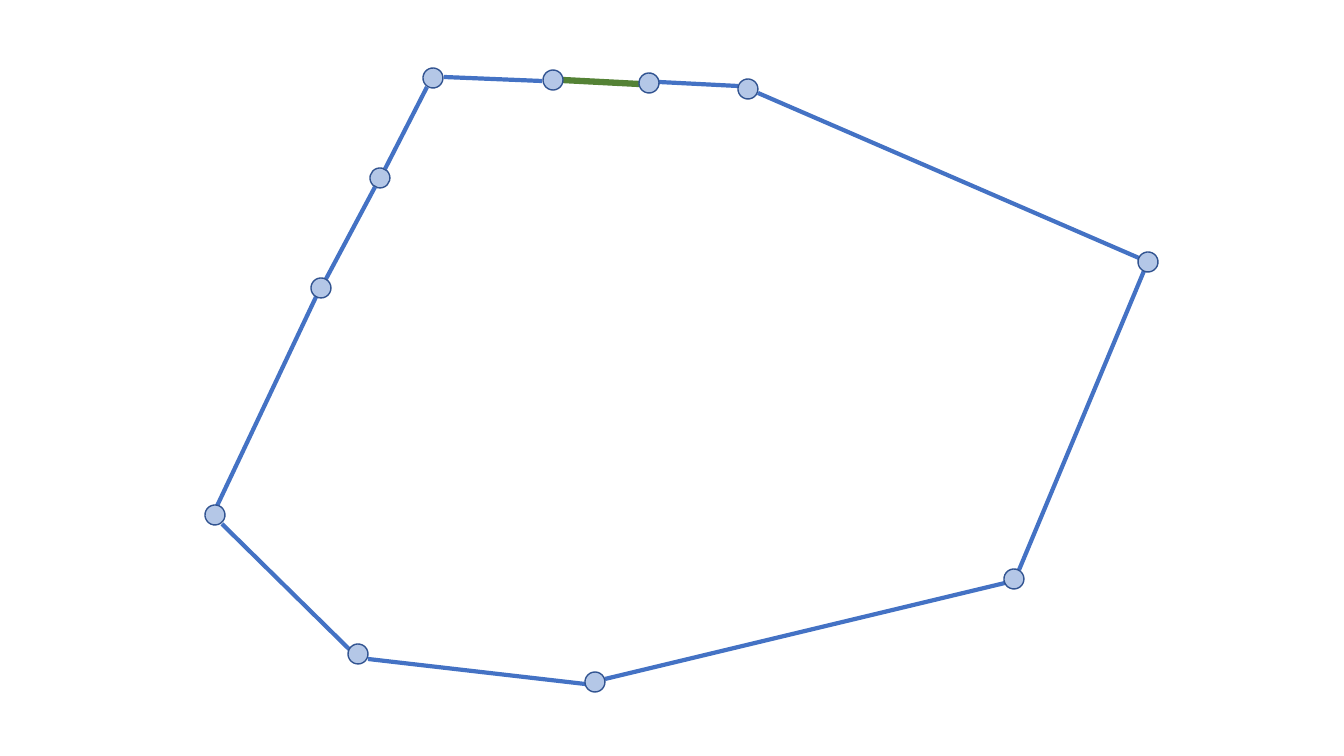
from pptx import Presentation
from pptx.dml.color import RGBColor
from pptx.enum.shapes import MSO_CONNECTOR as Connector, MSO_SHAPE as Shape
from pptx.oxml.ns import qn
from pptx.util import Emu, Pt
from lxml.etree import SubElement

SCALE = 914400 / 100.8
COLORS = {"edge": "4472C4", "marked": "548235", "node": "B4C7E7", "rim": "325491"}
DIAMETER = 20


def px(value):
    return Emu(round(value * SCALE))


def style_line(line, color, width):
    line.color.rgb = RGBColor.from_string(COLORS[color])
    line.width = Pt(width)


deck = Presentation()
for name, value in {"slide_width": px(1344), "slide_height": px(756)}.items():
    setattr(deck, name, value)
page = deck.slides.add_slide(deck.slide_layouts[6])

# Polygon edges, clockwise from the left side; the marked one is heavier
edges = [
    (326, 279, 375, 187), (385, 169, 427, 87), (444, 77, 542, 81),
    (562, 80, 639, 84), (659, 82, 738, 86), (758, 93, 1139, 258),
    (1144, 271, 1019, 570), (1005, 583, 605, 679), (585, 684, 368, 659),
    (350, 650, 222, 524), (217, 506, 316, 297),
]
marked_edge = edges[3]
for ends in edges:
    edge = page.shapes.add_connector(Connector.STRAIGHT, *map(px, ends))
    if ends == marked_edge:
        style_line(edge.line, "marked", 4.5)
    else:
        style_line(edge.line, "edge", 3)
    SubElement(edge._element.spPr, qn("a:effectLst"))

# Nodes: centre x, centre y, rotation
nodes = [
    (321, 288, 28.5), (380, 178, 344.2), (433, 78, 349.8), (553, 80, 88.3),
    (649, 83, 41.3), (748, 89, 18.5), (1148, 262, 68.9), (1014, 579, 25.7),
    (595, 682, 345.6), (358, 654, 342), (215, 515, 9),
]
for x, y, rotation in nodes:
    corner = px(x - DIAMETER / 2), px(y - DIAMETER / 2)
    node = page.shapes.add_shape(Shape.OVAL, *corner, px(DIAMETER), px(DIAMETER))
    node.rotation = rotation
    node.shadow.inherit = False
    node.fill.solid()
    node.fill.fore_color.rgb = RGBColor.from_string(COLORS["node"])
    style_line(node.line, "rim", 1)

deck.save("out.pptx")
